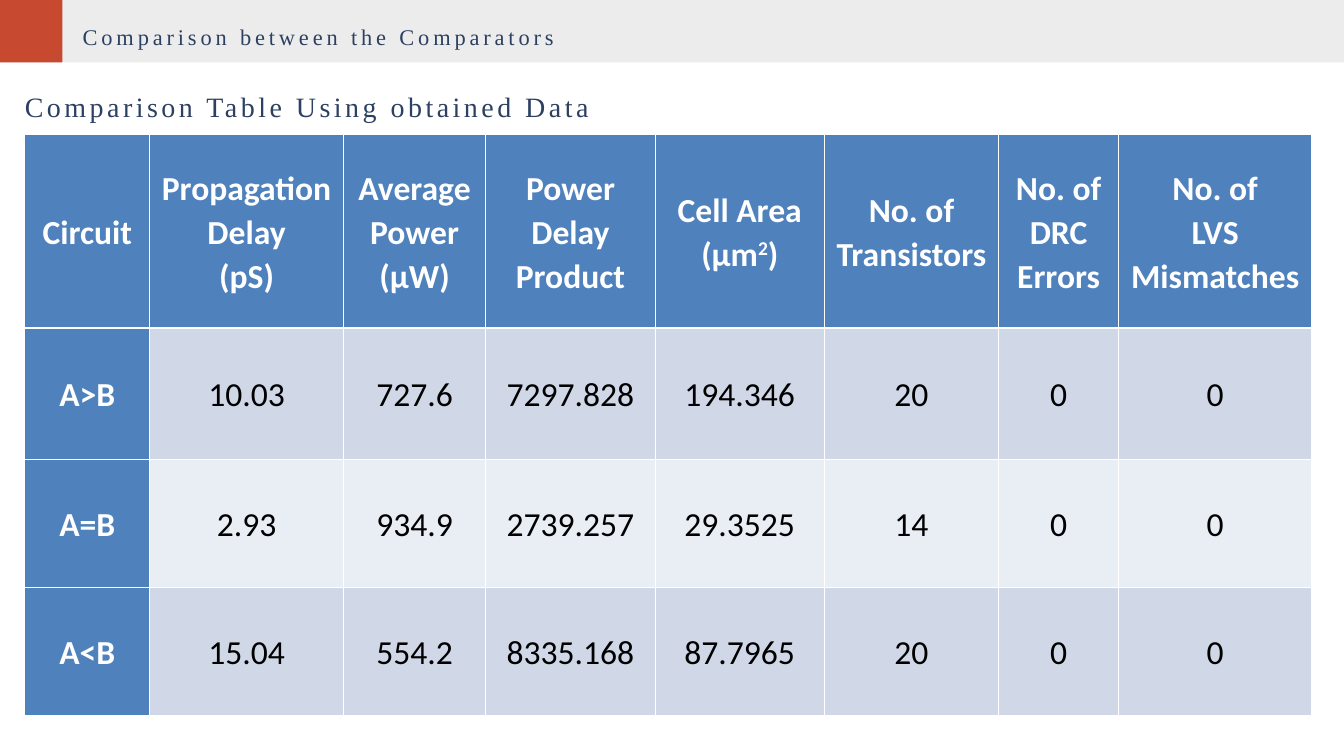
import pptx
import pptx.dml.color
import pptx.enum.shapes
import pptx.enum.text
import pptx.oxml
import pptx.oxml.ns
import pptx.util

PX = 9144  # 100 px to the inch
WHITE, BLACK, NAVY, BLUE = "FFFFFF", "000000", "2C4061", "4F81BD"
GREY, RED = "ECECEC", "C64930"
BANDS = ["D0D8E8", "E9EDF4"]

COLUMNS = [186, 288, 212, 252, 252, 259, 179, 287]
ROWS = [288, 196, 190, 190]
DATA = [
    ["Circuit", "Propagation\nDelay\n(pS)", "Average\nPower\n(µW)",
     "Power Delay\nProduct", "Cell Area\n(µm", "No. of\nTransistors",
     "No. of\nDRC\nErrors", "No. of\nLVS\nMismatches"],
    ["A˃B", "10.03", "727.6", "7297.828", "194.346", "20", "0", "0"],
    ["A=B", "2.93", "934.9", "2739.257", "29.3525", "14", "0", "0"],
    ["A<B", "15.04", "554.2", "8335.168", "87.7965", "20", "0", "0"],
]
AREA_COLUMN = 4


def color(value):
    return pptx.dml.color.RGBColor.from_string(value)


def px(*lengths):
    return [length * PX for length in lengths]


def style(span, font, size, fill, bold=False):
    span.font.name = font
    span.font.size = pptx.util.Pt(size)
    span.font.bold = bold
    span.font.color.rgb = color(fill)


def add_bar(page, box, fill):
    bar = page.shapes.add_shape(
        pptx.enum.shapes.MSO_SHAPE.RECTANGLE, *px(*box))
    bar.shadow.inherit = False
    bar.fill.solid()
    bar.fill.fore_color.rgb = color(fill)
    bar.line.fill.background()


def set_heading(shape, box, text, size, spacing, indent=0):
    """Letter-spaced serif line at the top of its box."""
    shape.left, shape.top, shape.width, shape.height = px(*box)
    frame = shape.text_frame
    frame.text = text
    frame.word_wrap = True
    frame.auto_size = pptx.enum.text.MSO_AUTO_SIZE.NONE
    frame.vertical_anchor = pptx.enum.text.MSO_ANCHOR.TOP
    frame.margin_top = frame.margin_right = frame.margin_bottom = 0
    frame.margin_left = indent * PX
    para = frame.paragraphs[0]
    para.alignment = pptx.enum.text.PP_ALIGN.LEFT
    para.line_spacing = 1.37
    span = para.runs[0]
    style(span, "Times New Roman", size, NAVY)
    span._r.get_or_add_rPr().set("spc", str(spacing))


def add_header(page, box):
    left, top, width, height = box
    add_bar(page, box, GREY)
    add_bar(page, (left, top, height, height), RED)
    title = page.shapes.title
    set_heading(title, (left + 37, top + 19, 800, 55),
                "Comparison between the Comparators", 24, 415, indent=86)
    # Bring the title in front of the bars
    page.shapes._spTree.append(title._element)


def set_borders(cell, bottom):
    properties = cell._tc.get_or_add_tcPr()
    for side, points in (("L", 1), ("R", 1), ("T", 1), ("B", bottom)):
        properties.append(pptx.oxml.parse_xml(
            f'<a:ln{side} {pptx.oxml.ns.nsdecls("a")} w="{points * 12700}">'
            f'<a:solidFill><a:srgbClr val="{WHITE}"/></a:solidFill>'
            f'</a:ln{side}>'))


def fill_cell(cell, text, row, column):
    heading = row == 0 or column == 0
    set_borders(cell, 3 if row == 0 else 1)
    cell.fill.solid()
    cell.fill.fore_color.rgb = color(BLUE if heading else BANDS[(row - 1) % 2])
    cell.vertical_anchor = pptx.enum.text.MSO_ANCHOR.MIDDLE
    cell.margin_left = cell.margin_right = 7 * PX
    cell.margin_top = cell.margin_bottom = 0
    cell.text_frame.text = text
    # The area unit ends in a raised 2
    if row == 0 and column == AREA_COLUMN:
        unit = cell.text_frame.paragraphs[-1]
        power = unit.add_run()
        power.text = "2"
        power._r.get_or_add_rPr().set("baseline", "30000")
        unit.add_run().text = ")"
    for para in cell.text_frame.paragraphs:
        para.alignment = pptx.enum.text.PP_ALIGN.CENTER
        para.line_spacing = 1.07
        for span in para.runs:
            style(span, "Calibri", 36, WHITE if heading else BLACK, heading)


def add_comparison(page, box):
    left, top, width, height = box
    # Caption above the table
    caption = page.shapes.add_textbox(0, 0, 0, 0)
    set_heading(caption, (left, top, 1795, 70),
                "Comparison Table Using obtained Data", 30, 375)
    # Table
    table = page.shapes.add_table(
        len(ROWS), len(COLUMNS), *px(left, top + 85, width, height - 85)).table
    for column, size in zip(table.columns, COLUMNS):
        column.width = size * PX
    for row, size in zip(table.rows, ROWS):
        row.height = size * PX
    for row, texts in enumerate(DATA):
        for column, text in enumerate(texts):
            fill_cell(table.cell(row, column), text, row, column)


def main():
    deck = pptx.Presentation()
    deck.slide_width, deck.slide_height = px(2000, 1125)
    page = deck.slides.add_slide(deck.slide_layouts[5])
    add_header(page, (0, 0, 2000, 93))
    add_comparison(page, (37, 115, sum(COLUMNS), 85 + sum(ROWS)))
    deck.save("out.pptx")


if __name__ == "__main__":
    main()
